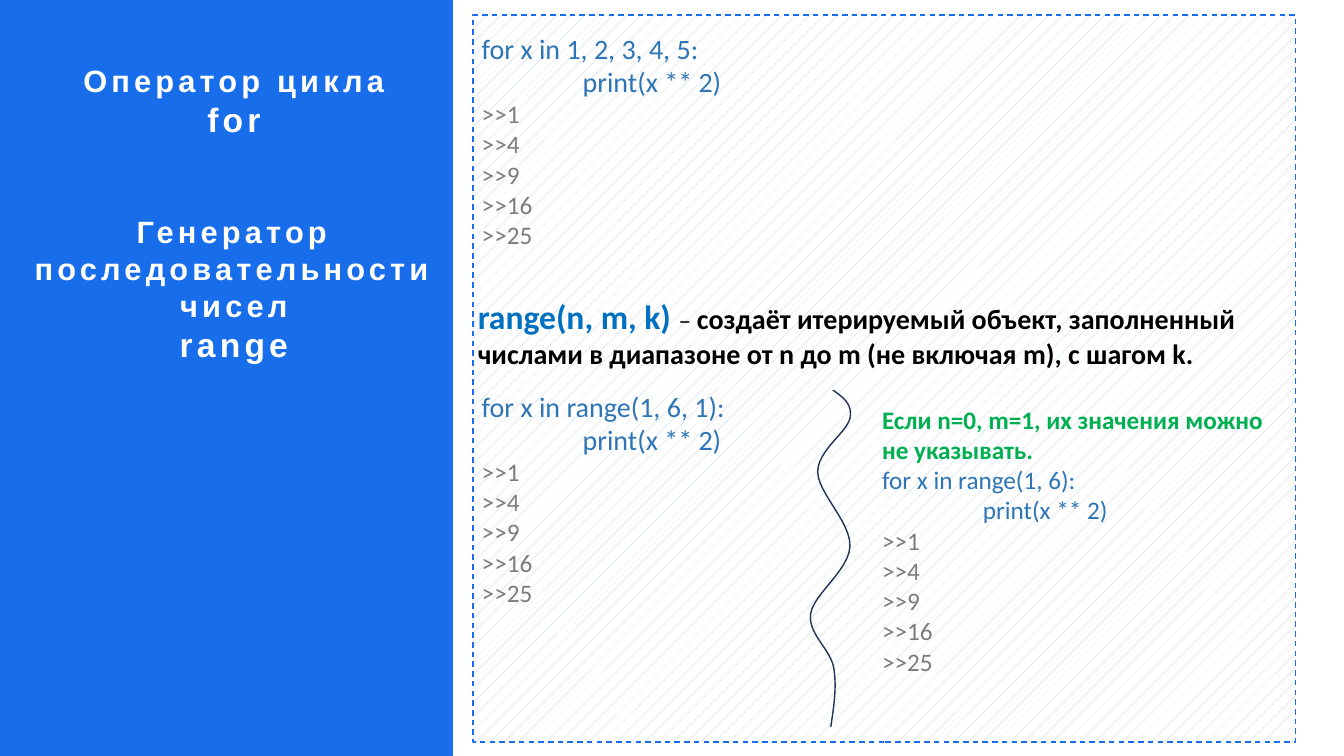
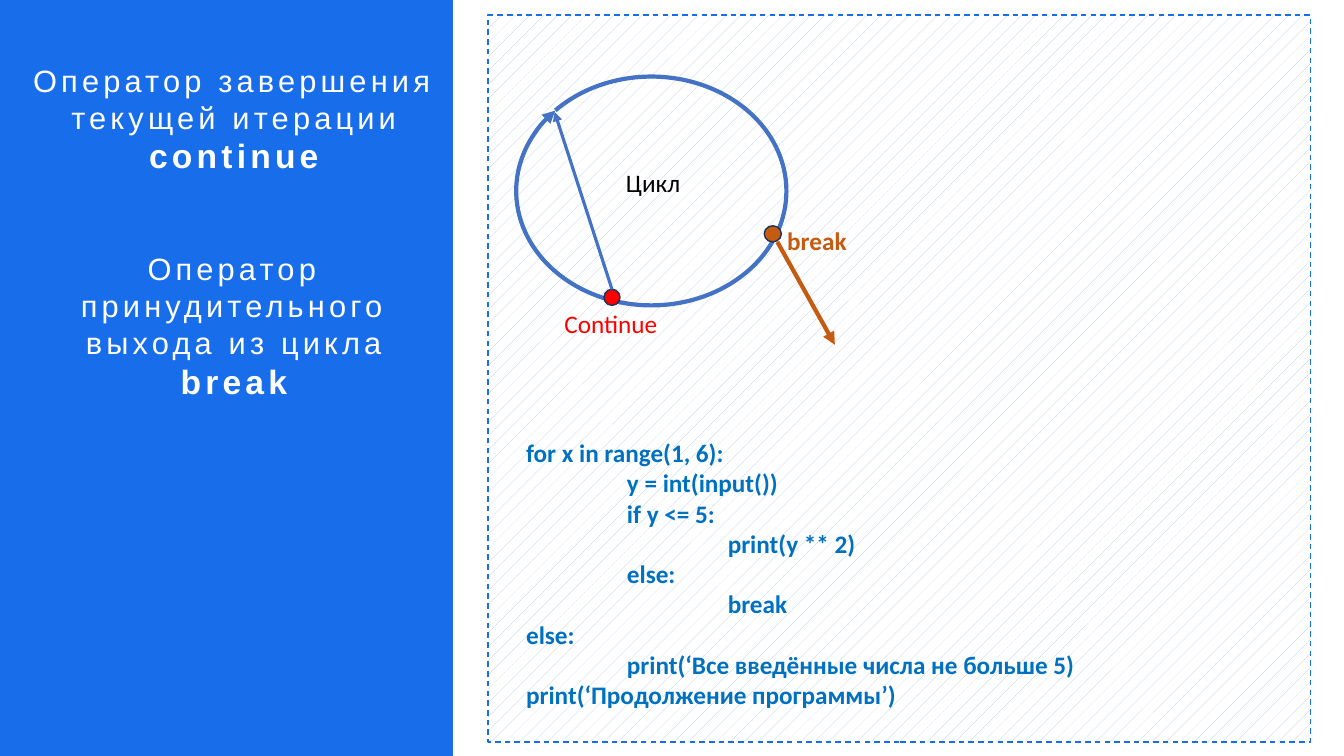
from lxml import etree
from pptx import Presentation
from pptx.dml.color import RGBColor
from pptx.enum.dml import MSO_LINE, MSO_PATTERN
from pptx.enum.shapes import MSO_CONNECTOR, MSO_SHAPE
from pptx.enum.text import MSO_ANCHOR, MSO_AUTO_SIZE, PP_ALIGN
from pptx.oxml.ns import qn
from pptx.util import Inches, Pt

RECTANGLE, OVAL, ARC = MSO_SHAPE.RECTANGLE, MSO_SHAPE.OVAL, MSO_SHAPE.ARC
PARALLELOGRAM = MSO_SHAPE.PARALLELOGRAM
STRAIGHT, DASH, DOTS = MSO_CONNECTOR.STRAIGHT, MSO_LINE.DASH, MSO_PATTERN.PERCENT_5
TOP, CENTER, FIXED = MSO_ANCHOR.TOP, PP_ALIGN.CENTER, MSO_AUTO_SIZE.NONE

COLORS = {
    "band": "176DEA", "white": "FFFFFF", "dots": "B4C7E7", "code": "2E75B6",
    "output": "7C7C7C", "keyword": "0070C0", "black": "000000", "note": "00B050",
    "outline": "1E3256", "loop": "4472C4", "continue": "FF0000", "break": "C55A11",
}
WIDTH, HEIGHT = 13.33, 7.5
BAND_BOX = (-0.01, -0.02, 4.5, 7.54)
PANEL = {"top": 0.15, "width": 8.16, "height": 7.21}
INDENT = Inches(1)

# Content: titles are (text, size, bold); a new topic starts after a gap
FOR_TITLE = [
    [("Оператор цикла", 22, True), ("for", 24, True)],
    [("Генератор последовательности чисел", 22, True), ("range", 24, True)],
]
BREAK_TITLE = [
    [("Оператор завершения текущей итерации", 22, False), ("continue", 24, True)],
    [("Оператор принудительного выхода из цикла", 22, False), ("break", 24, True)],
]

# Content: a line is (indent depth, runs), a run is (text, size, colour, bold)
SQUARES = [(0, [(f">>{number ** 2}", 18, "output", False)]) for number in range(1, 6)]


def loop_example(header, size):
    return [(0, [(header, size, "code", False)]),
            (1, [("print(x ** 2)", size, "code", False)])] + SQUARES


RANGE_MEANING = [(0, [
    ("range(n, m, k) ", 24, "keyword", True),
    ("– ", 18, "black", False),
    ("создаёт итерируемый объект, заполненный числами в диапазоне "
     "от n до m (не включая m), с шагом k.", 20, "black", True),
])]
DEFAULTS_NOTE = [(0, [("Если n=0, m=1, их значения можно не указывать.", 18, "note", True)])]
FOR_TEXTS = [
    ((4.68, 0.26, 8.47, 2.29), loop_example("for x in 1, 2, 3, 4, 5:", 20)),
    ((4.64, 2.89, 8.51, 0.84), RANGE_MEANING),
    ((4.68, 3.81, 8.47, 2.29), loop_example("for x in range(1, 6, 1):", 20)),
    ((8.65, 3.96, 4.21, 2.83), DEFAULTS_NOTE + loop_example("for x in range(1, 6):", 18)),
]
BREAK_CODE = [
    (0, "for x in range(1, 6):"), (1, "y = int(input())"), (1, "if y <= 5:"),
    (2, "print(y ** 2)"), (1, "else:"), (2, "break"), (0, "else:"),
    (1, "print(‘Все введённые числа не больше 5)"), (0, "print(‘Продолжение программы’)"),
]
BREAK_TEXTS = [
    ((6.11, 1.61, 0.78, 0.4), [(0, [("Цикл", 18, "black", False)])]),
    ((5.5, 3.01, 1.16, 0.4), [(0, [("Continue", 18, "continue", False)])]),
    ((7.71, 2.19, 1.36, 0.4), [(0, [("break", 18, "break", True)])]),
    ((5.12, 4.29, 6.77, 2.83),
     [(depth, [(code, 18, "keyword", True)]) for depth, code in BREAK_CODE]),
]

# Wavy divider: start point, then (control, control, end) for each bend
WAVE_START = (8.26, 3.87)
WAVE_BENDS = [
    ((8.36, 3.94), (8.46, 4.01), (8.43, 4.15)),
    ((8.4, 4.29), (8.11, 4.47), (8.11, 4.68)),
    ((8.11, 4.89), (8.44, 5.18), (8.43, 5.42)),
    ((8.42, 5.66), (8.07, 5.89), (8.04, 6.09)),
    ((8.01, 6.29), (8.24, 6.44), (8.27, 6.63)),
    ((8.3, 6.82), (8.27, 7.01), (8.24, 7.21)),
]
WAVE_STEPS = 12

# Loop diagram
LOOP_BOX, LOOP_ANGLES = (5.12, 0.76, 2.68, 2.27), (220, 219.9)
EXIT_DOTS = [((5.99, 2.87, 0.16, 0.16), "continue"), ((7.58, 2.24, 0.17, 0.16), "break")]
EXIT_ARROWS = [((6.07, 2.87), (5.5, 1.11), "loop", 2.25),
               ((7.71, 2.4), (8.28, 3.42), "break", 3)]


def color(name):
    return RGBColor.from_string(COLORS[name])


def inches(values):
    return [Inches(value) for value in values]


def set_line(shape, name, width):
    shape.line.color.rgb = color(name)
    shape.line.width = Pt(width)


def add_shape(slide, kind, box, fill=None):
    shape = slide.shapes.add_shape(kind, *inches(box))
    shape.shadow.inherit = False
    if fill:
        shape.fill.solid()
        shape.fill.fore_color.rgb = color(fill)
    else:
        shape.fill.background()
    return shape


def add_arrowhead(shape):
    etree.SubElement(shape.line._get_or_add_ln(), qn("a:tailEnd"), type="triangle")


def format_run(run, font_name, size, color_name, bold):
    run.font.name = font_name
    run.font.size = Pt(size)
    run.font.color.rgb = color(color_name)
    run.font.bold = bold


def next_paragraph(frame, index):
    return frame.add_paragraph() if index else frame.paragraphs[0]


def add_text(slide, box, lines):
    frame = slide.shapes.add_textbox(*inches(box)).text_frame
    frame.word_wrap = True
    for index, (depth, runs) in enumerate(lines):
        paragraph = next_paragraph(frame, index)
        if depth:
            paragraph._p.get_or_add_pPr().set("marL", str(depth * INDENT))
        for text, *style in runs:
            run = paragraph.add_run()
            run.text = text
            format_run(run, "Calibri", *style)


def fill_title(title, topics, height):
    title.left, title.top, title.width, title.height = inches((0.18, 0.61, 4.28, height))
    frame = title.text_frame
    frame.margin_left = frame.margin_right = frame.margin_top = frame.margin_bottom = 0
    frame.word_wrap, frame.auto_size, frame.vertical_anchor = True, FIXED, TOP
    lines = [(number and not position, line) for number, topic in enumerate(topics)
             for position, line in enumerate(topic)]
    for index, (new_topic, (text, size, bold)) in enumerate(lines):
        paragraph = next_paragraph(frame, index)
        paragraph.text = text
        paragraph.alignment = CENTER
        paragraph.space_before = Pt(53 if new_topic else 0)
        run = paragraph.runs[0]
        format_run(run, "Arial", size, "white", bold)
        run.font._element.set("spc", "300")


def add_slide(presentation, topics, title_height, panel_left):
    slide = presentation.slides.add_slide(presentation.slide_layouts[5])
    # Dotted panel and side band
    panel = add_shape(slide, RECTANGLE,
                      (panel_left, PANEL["top"], PANEL["width"], PANEL["height"]))
    panel.fill.patterned()
    panel.fill.pattern = DOTS
    panel.fill.fore_color.rgb = color("dots")
    panel.fill.back_color.rgb = color("white")
    set_line(panel, "band", 1)
    panel.line.dash_style = DASH
    band = add_shape(slide, PARALLELOGRAM, BAND_BOX, "band")
    band.adjustments[0] = 0
    band.line.fill.background()
    # Title in front of the band
    title = slide.shapes.title
    fill_title(title, topics, title_height)
    band._element.addnext(title._element)
    return slide


def add_wave(slide):
    points, start = [], WAVE_START
    for first, second, end in WAVE_BENDS:
        for step in range(1, WAVE_STEPS + 1):
            t = step / WAVE_STEPS
            weights = ((1 - t) ** 3, 3 * t * (1 - t) ** 2, 3 * t * t * (1 - t), t ** 3)
            corners = (start, first, second, end)
            points.append(inches(sum(weight * corner[axis] for weight, corner
                                     in zip(weights, corners)) for axis in (0, 1)))
        start = end
    builder = slide.shapes.build_freeform(*inches(WAVE_START))
    builder.add_line_segments(points, close=False)
    wave = builder.convert_to_shape()
    wave.shadow.inherit = False
    wave.fill.background()
    set_line(wave, "outline", 1)


def add_loop(slide):
    loop = add_shape(slide, ARC, LOOP_BOX)
    for index, angle in enumerate(LOOP_ANGLES):
        loop.adjustments[index] = angle * 60000 / 100000
    set_line(loop, "loop", 3)
    add_arrowhead(loop)
    for box, name in EXIT_DOTS:
        set_line(add_shape(slide, OVAL, box, name), "outline", 1)
    for start, end, name, width in EXIT_ARROWS:
        arrow = slide.shapes.add_connector(STRAIGHT, *inches(start + end))
        set_line(arrow, name, width)
        add_arrowhead(arrow)
        etree.SubElement(arrow._element.spPr, qn("a:effectLst"))


presentation = Presentation()
presentation.slide_width, presentation.slide_height = inches((WIDTH, HEIGHT))

# Slide 1: for and range
for_slide = add_slide(presentation, FOR_TITLE, 3.03, 4.69)
for box, lines in FOR_TEXTS:
    add_text(for_slide, box, lines)
add_wave(for_slide)

# Slide 2: continue and break
break_slide = add_slide(presentation, BREAK_TITLE, 3.4, 4.84)
add_loop(break_slide)
for box, lines in BREAK_TEXTS:
    add_text(break_slide, box, lines)

presentation.save("out.pptx")
